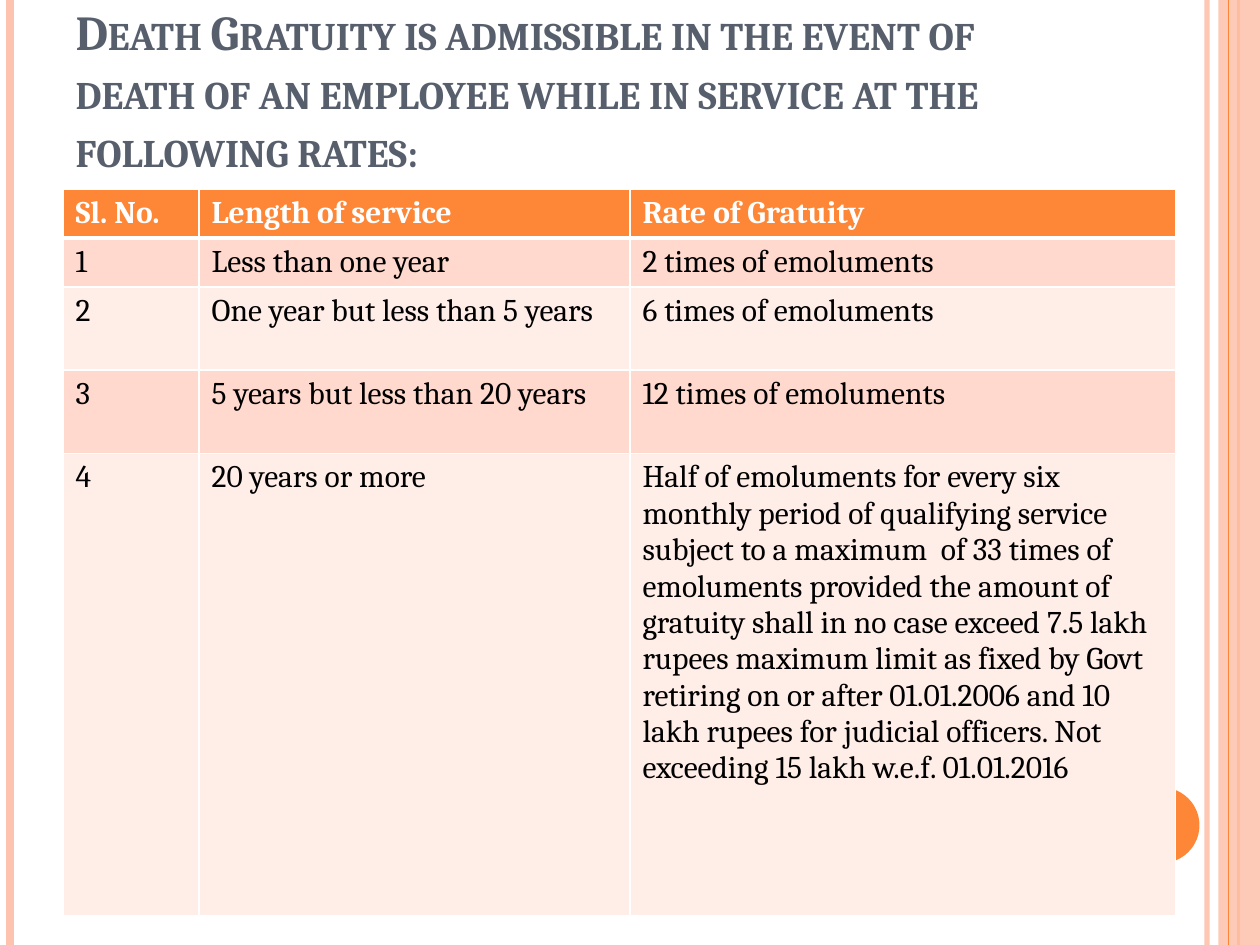
from lxml.etree import SubElement
from pptx import Presentation
from pptx.dml.color import RGBColor
from pptx.enum.shapes import MSO_CONNECTOR, MSO_SHAPE
from pptx.enum.text import MSO_ANCHOR, MSO_AUTO_SIZE, PP_ALIGN
from pptx.oxml.ns import qn
from pptx.util import Inches, Pt

COLORS = {
    "orange": "FE8637",
    "peach": "FEC3AE",
    "slate": "575F6D",
    "band_dark": "FFD9CE",
    "band_light": "FFEDE8",
    "white": "FFFFFF",
    "black": "000000",
}
FONT = "Cambria"
TITLE = ("Death Gratuity is admissible in the event of death of an employee "
         "while in service at the following rates:")
COL_WIDTHS = [1.08, 3.42, 4.33]
ROW_HEIGHTS = [0.38, 0.38, 0.66, 0.66, 3.67]
ROWS = [
    ("Sl. No.", "Length of service", "Rate of Gratuity"),
    ("1", "Less than one year", "2 times of emoluments"),
    ("2", "One year but less than 5 years", "6 times of emoluments"),
    ("3", "5 years but less than 20 years", "12 times of emoluments"),
    ("4", "20 years or more",
     "Half of emoluments for every six monthly period of qualifying service "
     "subject to a maximum  of 33 times of emoluments provided the amount of "
     "gratuity shall in no case exceed 7.5 lakh rupees maximum limit as fixed "
     "by Govt retiring on or after 01.01.2006 and 10 lakh rupees for judicial "
     "officers. Not exceeding 15 lakh w.e.f. 01.01.2016"),
]


def rgb(name):
    return RGBColor.from_string(COLORS[name])


def set_alpha(fill_owner, percent):
    for clr in fill_owner.iter(qn("a:srgbClr")):
        SubElement(clr, qn("a:alpha"), val=str(percent * 1000))


def write_text(tf, text, size=18, color="black", bold=False, small_caps=False, spacing=None):
    p = tf.paragraphs[0]
    p.alignment = PP_ALIGN.LEFT
    if spacing:
        p.line_spacing = Pt(spacing)
    r = p.add_run()
    r.text = text
    r.font.name = FONT
    r.font.size = Pt(size)
    r.font.bold = bold
    r.font.color.rgb = rgb(color)
    if small_caps:
        r.font._element.set("cap", "small")


def add_vertical_line(s, x, color, width, alpha=None):
    line = s.shapes.add_connector(
        MSO_CONNECTOR.STRAIGHT, Inches(x), Inches(0), Inches(x), Inches(7.5))
    line.line.color.rgb = rgb(color)
    line.line.width = Pt(width)
    sp_pr = line._element.spPr
    if alpha:
        set_alpha(sp_pr, alpha)
    SubElement(sp_pr, qn("a:effectLst"))


def add_filled_shape(s, kind, x, y, w, h, color, alpha=None):
    sp = s.shapes.add_shape(kind, Inches(x), Inches(y), Inches(w), Inches(h))
    sp.shadow.inherit = False
    sp.fill.solid()
    sp.fill.fore_color.rgb = rgb(color)
    sp.line.fill.background()
    if alpha:
        set_alpha(sp._element.spPr, alpha)


def add_decorations(s):
    add_vertical_line(s, 9.58, "peach", 3, alpha=93)
    add_vertical_line(s, 0.08, "peach", 4.5)
    add_vertical_line(s, 9.83, "orange", 1.5)
    add_filled_shape(s, MSO_SHAPE.RECTANGLE, 9.67, 0, 0.33, 7.5, "peach", alpha=87)
    add_vertical_line(s, 9.75, "orange", 0.75)
    add_filled_shape(s, MSO_SHAPE.OVAL, 8.92, 6.25, 0.6, 0.6, "orange")


def add_title(s):
    title = s.shapes.title
    title.left, title.top = Inches(0.5), Inches(0)
    title.width, title.height = Inches(8.17), Inches(1.92)
    tf = title.text_frame
    tf.word_wrap = True
    tf.auto_size = MSO_AUTO_SIZE.NONE
    tf.vertical_anchor = MSO_ANCHOR.BOTTOM
    tf.margin_bottom = Inches(0.51)
    write_text(tf, TITLE, size=27.9, color="slate", bold=True, small_caps=True, spacing=33.4)


def set_borders(cell, widths):
    tc_pr = cell._tc.get_or_add_tcPr()
    for i, (side, width) in enumerate(widths.items()):
        ln = tc_pr.makeelement(qn(f"a:ln{side}"), {"w": str(Pt(width))})
        fill = SubElement(ln, qn("a:solidFill"))
        SubElement(fill, qn("a:srgbClr"), val=COLORS["white"])
        tc_pr.insert(i, ln)


def add_rate_table(s):
    table = s.shapes.add_table(
        len(ROWS), len(COL_WIDTHS), Inches(0.5), Inches(1.5),
        Inches(sum(COL_WIDTHS)), Inches(sum(ROW_HEIGHTS))).table
    for col, width in zip(table.columns, COL_WIDTHS):
        col.width = Inches(width)
    for i, (row, height, values) in enumerate(zip(table.rows, ROW_HEIGHTS, ROWS)):
        row.height = Inches(height)
        header = i == 0
        fill = "orange" if header else ("band_light", "band_dark")[i % 2]
        for cell, value in zip(row.cells, values):
            cell.fill.solid()
            cell.fill.fore_color.rgb = rgb(fill)
            write_text(cell.text_frame, value, color="white" if header else "black", bold=header)
            set_borders(cell, {"L": 1, "R": 1, "T": 3 if i == 1 else 1, "B": 3 if header else 1})


def main():
    prs = Presentation()
    prs.slide_width, prs.slide_height = Inches(10), Inches(7.5)
    s = prs.slides.add_slide(prs.slide_layouts[5])
    add_decorations(s)
    add_title(s)
    add_rate_table(s)
    prs.save("out.pptx")


if __name__ == "__main__":
    main()
